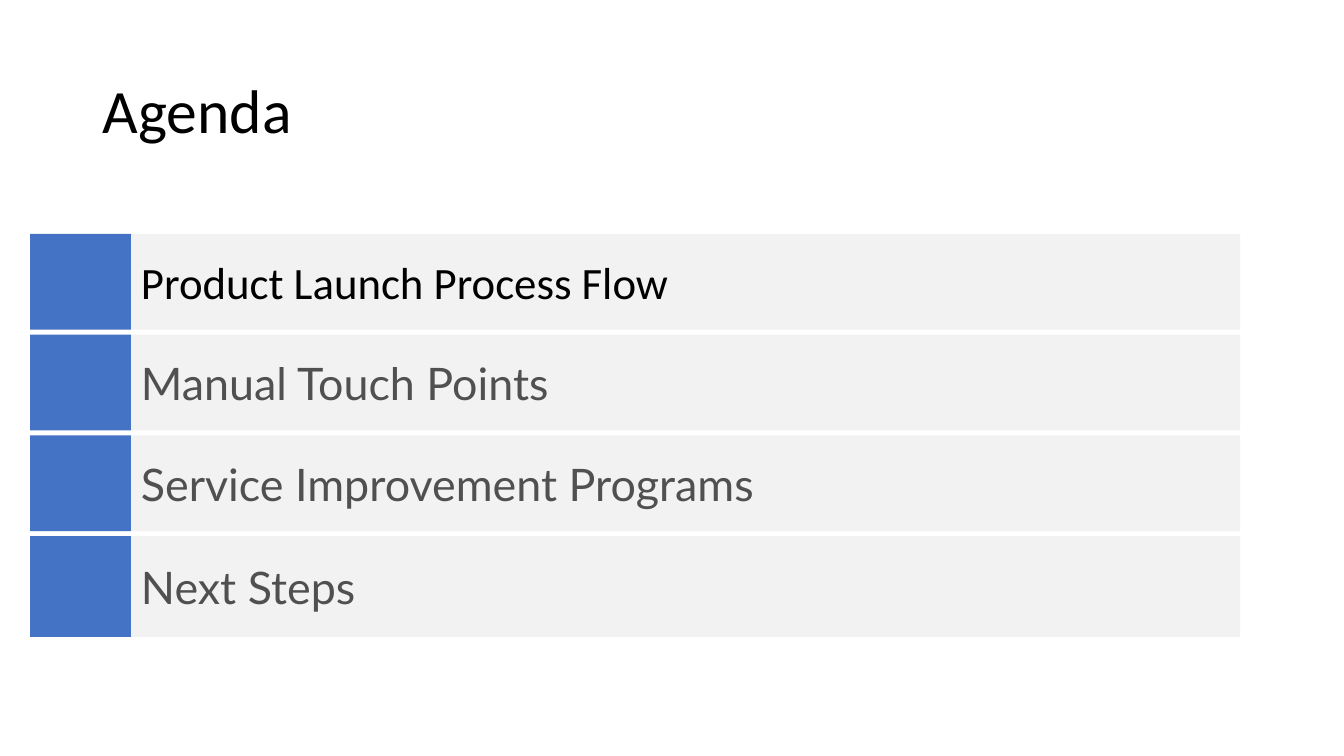
from dataclasses import dataclass

from pptx import Presentation
from pptx import util as u
from pptx.dml.color import RGBColor
from pptx.enum import shapes, text
from pptx.shapes.autoshape import Shape
from pptx.slide import Slide


@dataclass(frozen=True)
class Theme:
    accent: str = "4472C4"
    bar: str = "F2F2F2"
    active: str = "000000"
    muted: str = "505050"
    main_font: str = "Calibri"
    muted_font: str = "Lato"
    title_size: int = 44
    item_size: int = 32


@dataclass(frozen=True)
class AgendaItem:
    label: str
    height: float = 0.95
    active: bool = False


THEME = Theme()
ITEMS = [
    AgendaItem("Product Launch Process Flow", active=True),
    AgendaItem("Manual Touch Points"),
    AgendaItem("Service Improvement Programs"),
    AgendaItem("Next Steps", height=1),
]
LEFT, TOP, PITCH = 0.3, 2.32, 1
MARKER_WIDTH, BAR_WIDTH = 1, 11


def write(sp: Shape, content: str, *, size: int, font: str, color: str,
          spacing: float = 1.0) -> None:
    tf = sp.text_frame
    tf.word_wrap = True
    tf.vertical_anchor = text.MSO_ANCHOR.MIDDLE
    p = tf.paragraphs[0]
    p.alignment = text.PP_ALIGN.LEFT
    p.line_spacing = spacing
    r = p.add_run()
    r.text = content
    r.font.size = u.Pt(size)
    r.font.name = font
    r.font.color.rgb = RGBColor.from_string(color)


def add_block(s: Slide, left: float, top: float, width: float, height: float,
              fill: str) -> Shape:
    sp = s.shapes.add_shape(
        shapes.MSO_SHAPE.RECTANGLE,
        u.Inches(left), u.Inches(top), u.Inches(width), u.Inches(height),
    )
    sp.shadow.inherit = False
    sp.fill.solid()
    sp.fill.fore_color.rgb = RGBColor.from_string(fill)
    sp.line.fill.background()
    return sp


def add_item(s: Slide, item: AgendaItem, top: float) -> None:
    add_block(s, LEFT, top, MARKER_WIDTH, item.height, THEME.accent)
    bar = add_block(s, LEFT + MARKER_WIDTH, top, BAR_WIDTH, item.height, THEME.bar)
    write(
        bar, item.label, size=THEME.item_size,
        font=THEME.main_font if item.active else THEME.muted_font,
        color=THEME.active if item.active else THEME.muted,
    )


prs = Presentation()
prs.slide_width, prs.slide_height = u.Inches(13.33), u.Inches(7.5)
s = prs.slides.add_slide(prs.slide_layouts[6])

title = s.shapes.add_textbox(u.Inches(0.92), u.Inches(0.4), u.Inches(11.5), u.Inches(1.45))
write(title, "Agenda", size=THEME.title_size, font=THEME.main_font,
      color=THEME.active, spacing=0.9)

for row, item in enumerate(ITEMS):
    add_item(s, item, TOP + row * PITCH)

prs.save("out.pptx")
